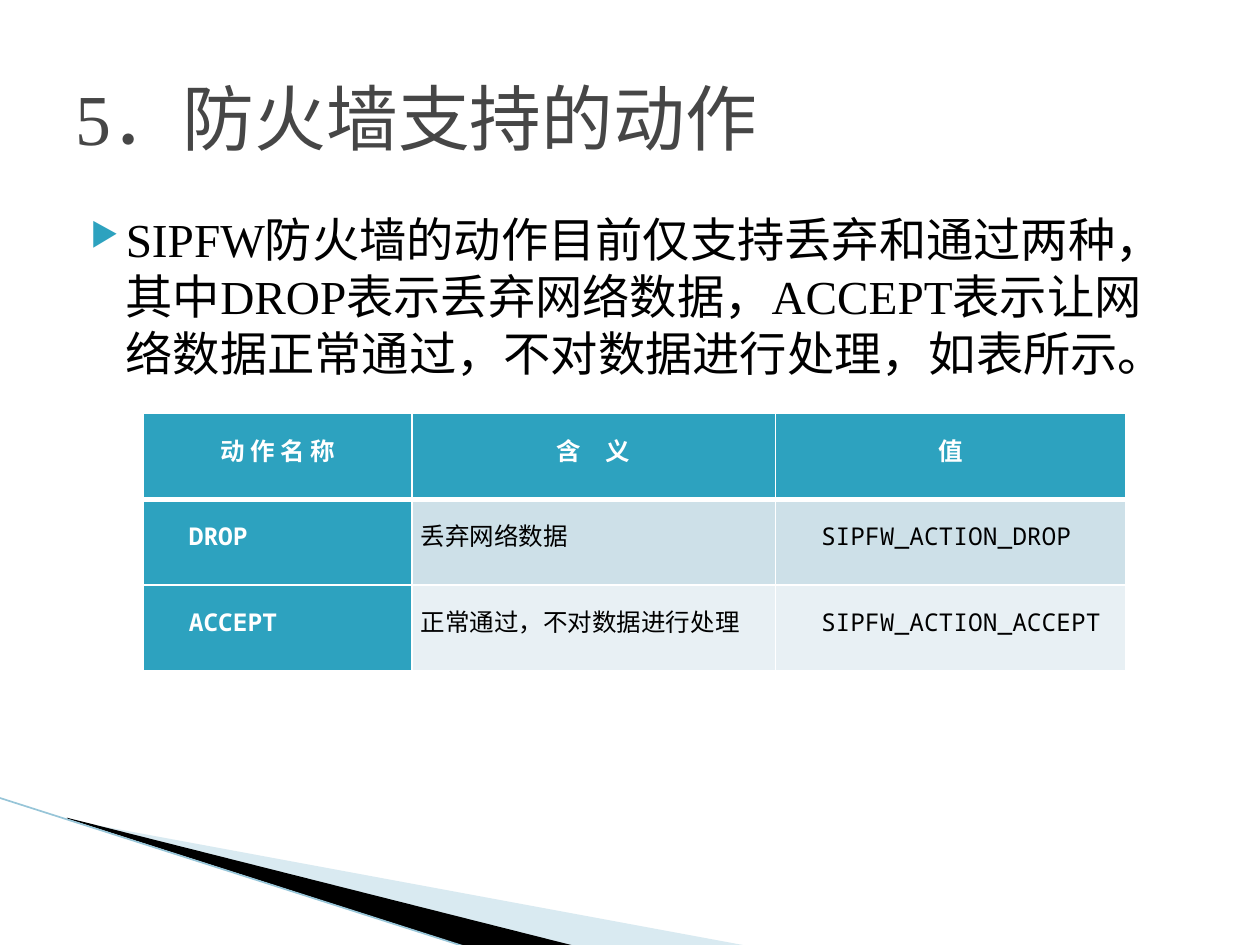
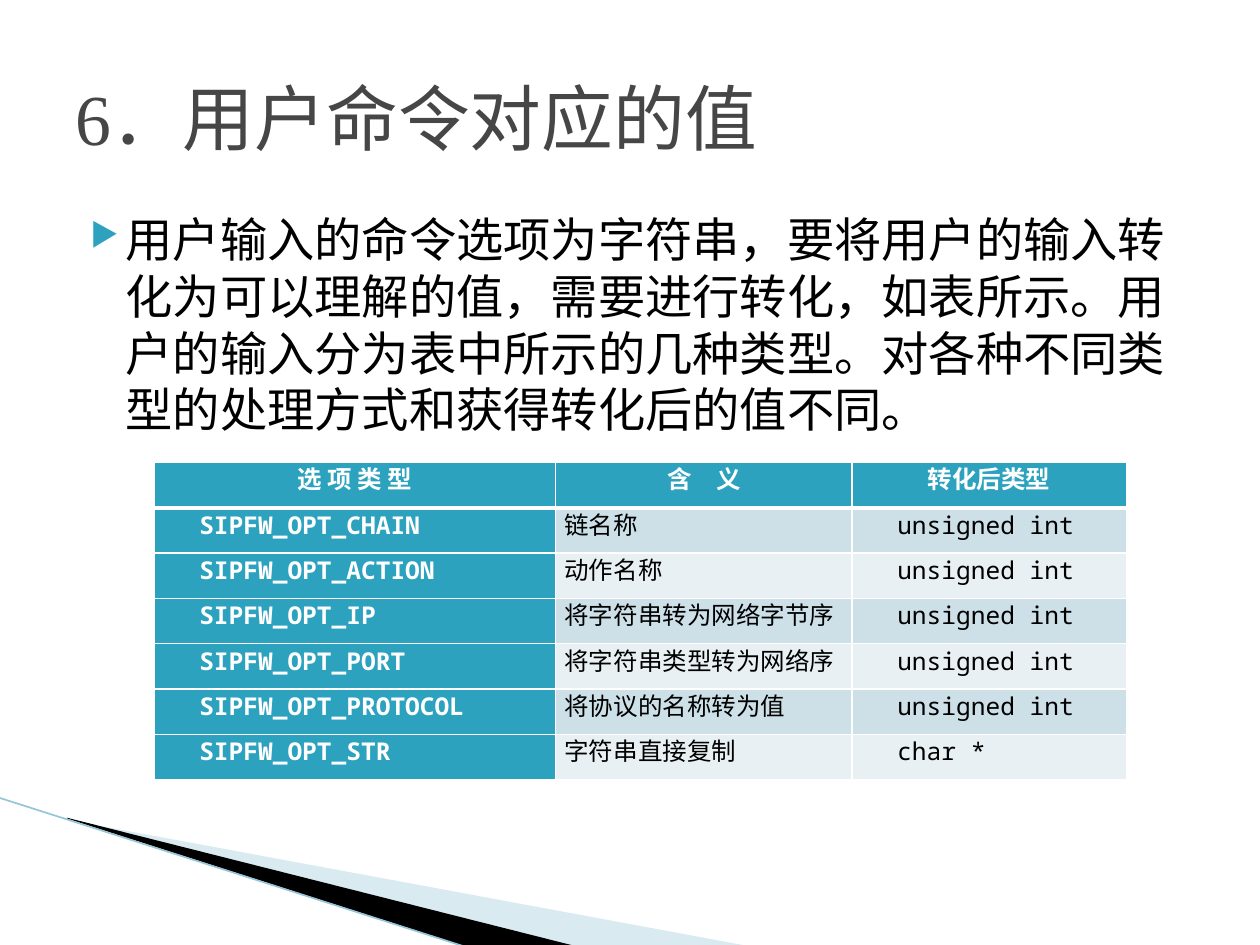
from dataclasses import dataclass

from lxml import etree
from pptx import Presentation
from pptx.dml.color import RGBColor
from pptx.enum.shapes import MSO_CONNECTOR
from pptx.enum.text import MSO_ANCHOR, PP_ALIGN
from pptx.oxml.ns import qn
from pptx.util import Pt

LINE = MSO_CONNECTOR.STRAIGHT
TOP, MID = MSO_ANCHOR.TOP, MSO_ANCHOR.MIDDLE
LEFT, CENTER, JUST = PP_ALIGN.LEFT, PP_ALIGN.CENTER, PP_ALIGN.JUSTIFY


@dataclass(frozen=True)
class Theme:
    teal: str = "2DA2BF"
    gray: str = "464646"
    black: str = "000000"
    white: str = "FFFFFF"
    pale: str = "A0CBDC"
    edge: str = "97C5D8"
    bands: tuple = ("CDE0E8", "E8F0F4")
    serif: str = "Times New Roman"
    mono: str = "Noto Sans Mono"
    head: float = 41
    body: float = 27
    cell: float = 14


T = Theme()


def add(parent, tag, **attrs):
    """Append an XML child with the given attributes."""
    node = etree.SubElement(parent, qn(tag))
    for key, val in attrs.items():
        node.set(key, str(val))
    return node


def write(frame, text, size, color, font=T.serif, bold=False, align=LEFT,
          anchor=TOP, left=0, first=0, bullet=None, pitch=None, after=None):
    """Fill a text frame with one formatted paragraph."""
    frame.word_wrap = True
    frame.vertical_anchor = anchor
    para = frame.paragraphs[0]
    para.alignment = align
    props = para._p.get_or_add_pPr()
    props.set("marL", str(Pt(left)))
    props.set("indent", str(Pt(first)))
    if bullet:
        add(add(props, "a:buClr"), "a:srgbClr", val=T.teal)
        add(props, "a:buSzPct", val=68000)
        add(props, "a:buChar", char=bullet)
    if pitch:
        para.line_spacing = Pt(pitch)
    if after:
        para.space_after = Pt(after)
    run = para.add_run()
    run.text = text
    run._r.get_or_add_rPr().set("lang", "zh-CN")
    run.font.name = font
    run.font.size = Pt(size)
    run.font.bold = bold
    run.font.color.rgb = RGBColor.from_string(color)


# Content: title, body, table place, column widths, row height, rows
PAGES = [
    ("5．防火墙支持的动作",
     "SIPFW防火墙的动作目前仅支持丢弃和通过两种，其中DROP表示丢弃网络数据，"
     "ACCEPT表示让网络数据正常通过，不对数据进行处理，如表所示。",
     (82, 236.3), (153.3, 208, 200.2), 49,
     [("动 作 名 称", "含　义", "值"),
      ("DROP", "丢弃网络数据", "SIPFW_ACTION_DROP"),
      ("ACCEPT", "正常通过，不对数据进行处理", "SIPFW_ACTION_ACCEPT")]),
    ("6．用户命令对应的值",
     "用户输入的命令选项为字符串，要将用户的输入转化为可以理解的值，需要进行转化，"
     "如表所示。用户的输入分为表中所示的几种类型。对各种不同类型的处理方式和"
     "获得转化后的值不同。",
     (88, 264.3), (229.6, 169.3, 156.8), 25.9,
     [("选 项 类 型", "含　义", "转化后类型"),
      ("SIPFW_OPT_CHAIN", "链名称", "unsigned int"),
      ("SIPFW_OPT_ACTION", "动作名称", "unsigned int"),
      ("SIPFW_OPT_IP", "将字符串转为网络字节序", "unsigned int"),
      ("SIPFW_OPT_PORT", "将字符串类型转为网络序", "unsigned int"),
      ("SIPFW_OPT_PROTOCOL", "将协议的名称转为值", "unsigned int"),
      ("SIPFW_OPT_STR", "字符串直接复制", "char *")]),
]

# Corner wedges: points, colour, opacity in percent
WEDGES = [
    ([(39.6, 468.7), (428.4, 540.7), (328.3, 540.7), (39.6, 468)], T.pale, 40),
    ([(38.2, 467.3), (329, 540.7), (267.8, 541.4), (38.9, 468)], T.black, 100),
]

deck = Presentation()
deck.slide_width, deck.slide_height = Pt(720), Pt(540)

for title, body, (x, y), widths, high, rows in PAGES:
    slide = deck.slides.add_slide(deck.slide_layouts[6])
    shapes = slide.shapes

    # Corner decoration
    for points, color, alpha in WEDGES:
        spots = [(Pt(px), Pt(py)) for px, py in points]
        path = shapes.build_freeform(*spots[0])
        path.add_line_segments(spots[1:])
        wedge = path.convert_to_shape()
        wedge.shadow.inherit = False
        wedge.line.fill.background()
        wedge.fill.solid()
        wedge.fill.fore_color.rgb = RGBColor.from_string(color)
        if alpha < 100:
            tint = wedge._element.spPr.find(".//" + qn("a:srgbClr"))
            add(tint, "a:alpha", val=alpha * 1000)
    edge = shapes.add_connector(LINE, Pt(-0.7), Pt(455.8), Pt(267.1), Pt(541.4))
    edge.line.color.rgb = RGBColor.from_string(T.edge)
    edge.line.width = Pt(0.95)
    add(edge._element.spPr, "a:effectLst")

    # Title and body
    box = shapes.add_textbox(Pt(36), Pt(21.6), Pt(648), Pt(111.6 - 21.6))
    write(box.text_frame, title, T.head, T.gray, anchor=MID)
    box = shapes.add_textbox(Pt(36), Pt(116.6), Pt(648), Pt(356.4))
    write(box.text_frame, body, T.body, T.black, left=28.8, first=-20.2,
          bullet="▶")

    # Table
    grid = shapes.add_table(len(rows), len(widths), Pt(x), Pt(y),
                            Pt(sum(widths)), Pt(high * len(rows))).table
    for col, width in zip(grid.columns, widths):
        col.width = Pt(width)
    for r, row in enumerate(rows):
        grid.rows[r].height = Pt(high)
        for c, text in enumerate(row):
            cell = grid.cell(r, c)
            strong = r == 0 or c == 0
            cell.margin_left = cell.margin_right = Pt(5)
            cell.margin_top = cell.margin_bottom = 0
            write(cell.text_frame, text, T.cell,
                  T.white if strong else T.black, font=T.mono, bold=strong,
                  align=JUST if r else CENTER,
                  first=20.9 if r and c != 1 else 0, pitch=12.5, after=1)
            cell.vertical_anchor = MID
            # The rule under the header row is thicker
            thick = {"B": 3} if r == 0 else {"T": 3} if r == 1 else {}
            for side in "LRTB":
                rule = add(cell._tc.get_or_add_tcPr(), "a:ln" + side,
                           w=Pt(thick.get(side, 1)))
                add(add(rule, "a:solidFill"), "a:srgbClr", val=T.white)
            cell.fill.solid()
            cell.fill.fore_color.rgb = RGBColor.from_string(
                T.teal if strong else T.bands[(r - 1) % 2])

deck.save("out.pptx")
